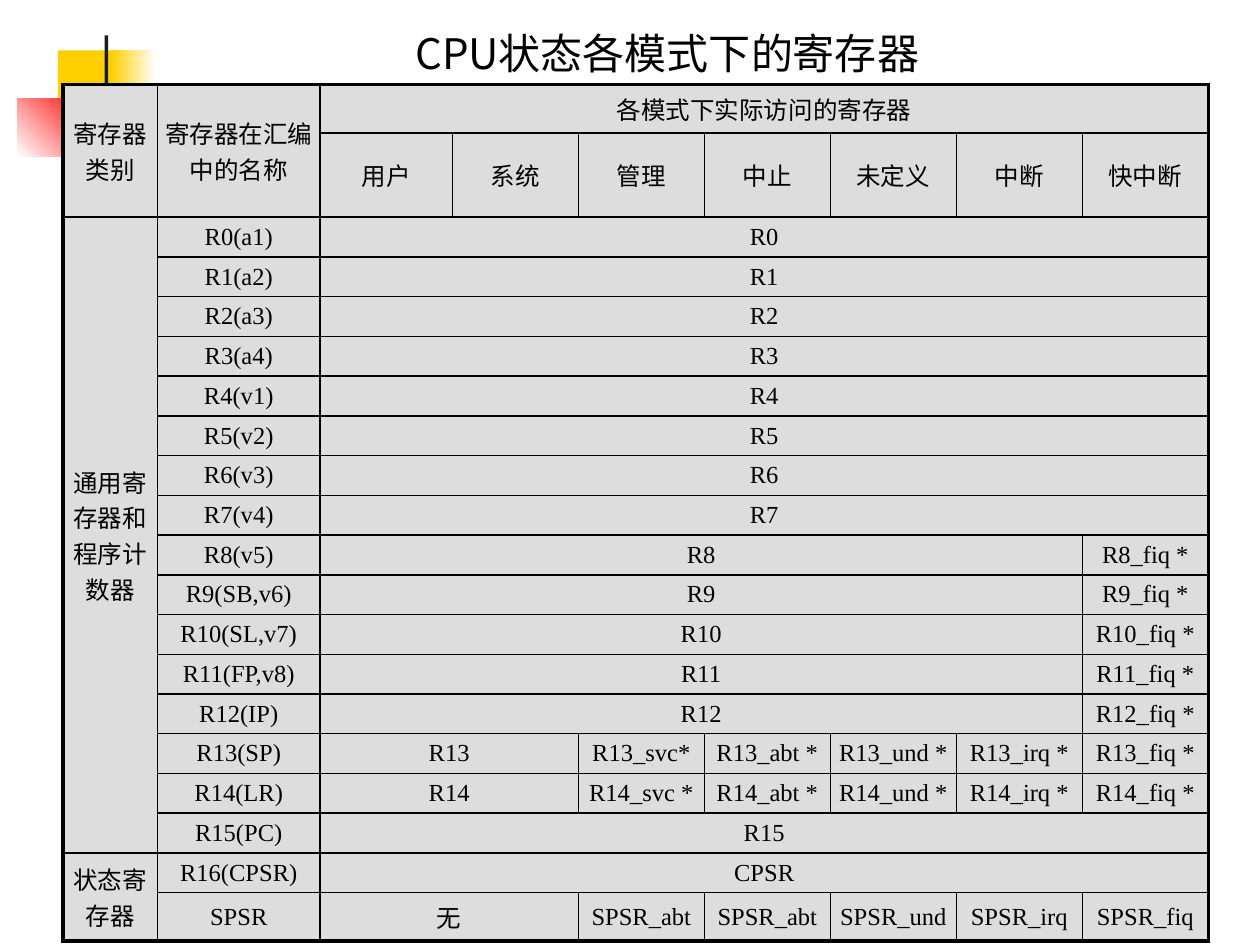
from typing import NamedTuple

from lxml.etree import SubElement
from pptx import Presentation
from pptx.dml.color import RGBColor
from pptx.enum.lang import MSO_LANGUAGE_ID
from pptx.enum.shapes import MSO_SHAPE
from pptx.enum.text import MSO_ANCHOR, PP_ALIGN
from pptx.oxml import parse_xml
from pptx.oxml.ns import nsdecls, qn
from pptx.util import Inches, Pt

HUES = {"ink": "000000", "cell": "DDDDDD", "gold": "FFCF01",
        "red": "FF0000", "white": "FFFFFF", "bar": "1C1C1C"}
SANS, SERIF = "Noto Sans CJK JP", "Times New Roman"
COLS = [0.75, 1.29, 1.05] + [1] * 6
ROWS = [0.38, 0.67] + [0.31] * 17 + [0.38]
THIN, THICK = 1, 2.25


class Block(NamedTuple):
    left: float
    top: float
    width: float
    height: float
    hues: tuple
    angle: int = 0


class Entry(NamedTuple):
    row: int
    col: int
    text: str
    rows: int = 1
    cols: int = 1


BLOCKS = [
    Block(0.46, 0.4, 0.48, 0.52, ("gold",)),
    Block(0.88, 0.4, 0.36, 0.52, ("gold", "white")),
    Block(0.14, 0.78, 0.61, 0.46, ("white", "red"), 45),
    Block(0.83, 0.28, 0.03, 1.15, ("bar",)),
]
MODES = ["用户", "系统", "管理", "中止", "未定义", "中断", "快中断"]
ALIASES = ["a1", "a2", "a3", "a4", "v1", "v2", "v3", "v4", "v5", "SB,v6",
           "SL,v7", "FP,v8", "IP", "SP", "LR", "PC", "CPSR"]
BANKS = {
    13: ["R13_svc*", "R13_abt *", "R13_und *", "R13_irq *", "R13_fiq *"],
    14: ["R14_svc *", "R14_abt *", "R14_und *", "R14_irq *", "R14_fiq *"],
    17: ["SPSR_abt", "SPSR_abt", "SPSR_und", "SPSR_irq", "SPSR_fiq"],
}


def rgb(name: str) -> RGBColor:
    return RGBColor.from_string(HUES[name])


def list_entries() -> list[Entry]:
    out = [
        Entry(0, 0, "寄存器类别", rows=2),
        Entry(0, 1, "寄存器在汇编中的名称", rows=2),
        Entry(0, 2, "各模式下实际访问的寄存器", cols=7),
        Entry(2, 0, "通用寄存器和程序计数器", rows=16),
        Entry(18, 0, "状态寄存器", rows=2),
    ]
    out += [Entry(1, 2 + i, mode) for i, mode in enumerate(MODES)]
    names = [f"R{i}({alias})" for i, alias in enumerate(ALIASES)] + ["SPSR"]
    shared = {16: "CPSR", 17: "无"}
    for i, name in enumerate(names):
        banked = BANKS.get(i, [f"R{i}_fiq *"] if 8 <= i <= 12 else [])
        width = 7 - len(banked)
        out.append(Entry(2 + i, 1, name))
        out.append(Entry(2 + i, 2, shared.get(i, f"R{i}"), cols=width))
        out += [Entry(2 + i, 2 + width + j, text)
                for j, text in enumerate(banked)]
    return out


def add_run(frame, text: str, size: int, font: str) -> None:
    para = frame.paragraphs[0]
    para.alignment = PP_ALIGN.CENTER
    para.space_before = Pt(0)
    run = para.add_run()
    run.text = text
    run.font.size = Pt(size)
    run.font.name = font
    run.font.color.rgb = rgb("ink")
    run.font.language_id = MSO_LANGUAGE_ID.SIMPLIFIED_CHINESE
    SubElement(run.font._element, qn("a:ea"), typeface=SANS)


def add_block(slide, block: Block) -> None:
    shape = slide.shapes.add_shape(
        MSO_SHAPE.RECTANGLE, *(Inches(n) for n in block[:4]))
    shape.shadow.inherit = False
    shape.line.fill.background()
    if len(block.hues) == 1:
        shape.fill.solid()
        shape.fill.fore_color.rgb = rgb(block.hues[0])
        return
    shape.fill.gradient()
    shape.fill.gradient_angle = block.angle
    for stop, hue, place in zip(shape.fill.gradient_stops, block.hues, (0, 1)):
        stop.color.rgb = rgb(hue)
        stop.position = place


def set_borders(cell, item: Entry) -> None:
    """Draw thin lines, thick where the entry meets the table's edge."""
    edges = {"lnL": item.col == 0,
             "lnR": item.col + item.cols == len(COLS),
             "lnT": item.row == 0,
             "lnB": item.row + item.rows == len(ROWS)}
    props = cell._tc.get_or_add_tcPr()
    for i, (tag, outer) in enumerate(edges.items()):
        width = Pt(THICK if outer else THIN)
        props.insert(i, parse_xml(
            f'<a:{tag} {nsdecls("a")} w="{width}"><a:solidFill>'
            f'<a:srgbClr val="{HUES["ink"]}"/></a:solidFill></a:{tag}>'))


def fill_entry(table, item: Entry) -> None:
    last_row, last_col = item.row + item.rows, item.col + item.cols
    for row in range(item.row, last_row):
        for col in range(item.col, last_col):
            cell = table.cell(row, col)
            cell.fill.solid()
            cell.fill.fore_color.rgb = rgb("cell")
            set_borders(cell, item)
    cell = table.cell(item.row, item.col)
    if item.rows * item.cols > 1:
        cell.merge(table.cell(last_row - 1, last_col - 1))
    cell.margin_left = cell.margin_right = 0
    cell.margin_top = cell.margin_bottom = Inches(0.05)
    cell.vertical_anchor = MSO_ANCHOR.MIDDLE
    add_run(cell.text_frame, item.text, 14, SERIF)


def add_grid(slide) -> None:
    table = slide.shapes.add_table(
        len(ROWS), len(COLS), Inches(0.5), Inches(0.67),
        Inches(sum(COLS)), Inches(sum(ROWS))).table
    table.first_row = table.horz_banding = False
    for col, width in zip(table.columns, COLS):
        col.width = Inches(width)
    for row, height in zip(table.rows, ROWS):
        row.height = Inches(height)
    for item in list_entries():
        fill_entry(table, item)


def set_title(slide, text: str) -> None:
    title = slide.shapes.title
    title.left, title.top = Inches(2.92), Inches(0.17)
    title.width, title.height = Inches(4.75), Inches(0.5)
    frame = title.text_frame
    frame.word_wrap = True
    frame.vertical_anchor = MSO_ANCHOR.MIDDLE
    add_run(frame, text, 24, SANS)


def main() -> None:
    deck = Presentation()
    deck.slide_width, deck.slide_height = Inches(10), Inches(7.5)
    slide = deck.slides.add_slide(deck.slide_layouts[5])
    for block in BLOCKS:
        add_block(slide, block)
    add_grid(slide)
    set_title(slide, "CPU状态各模式下的寄存器")
    deck.save("out.pptx")


if __name__ == "__main__":
    main()
